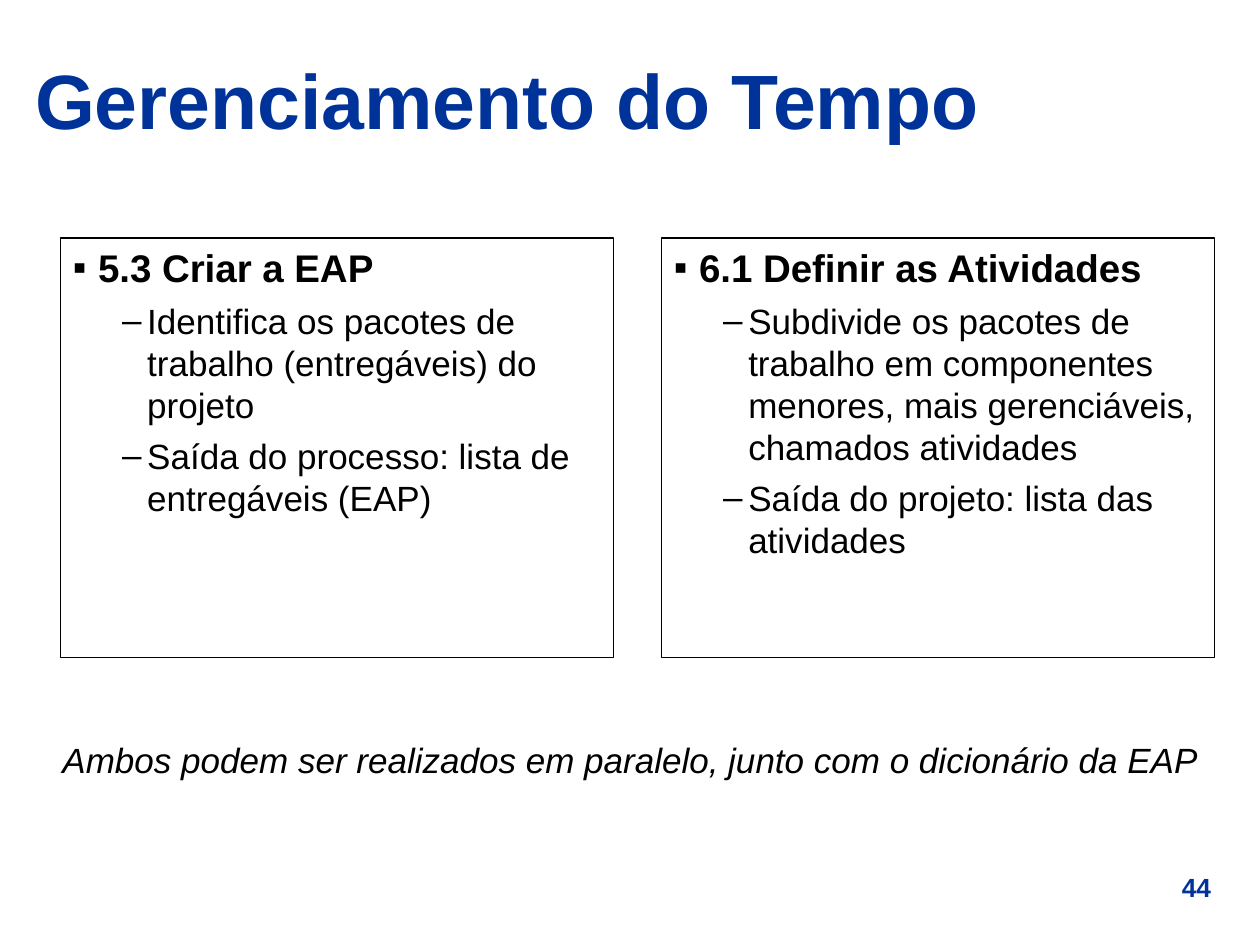
from dataclasses import dataclass

from lxml import etree
from pptx import Presentation, util as u
from pptx.dml.color import RGBColor
from pptx.enum import shapes, text
from pptx.oxml.ns import qn

W, H = 10, 7.5
BLUE, BLACK = "003399", "000000"
CENTER, MIDDLE = text.PP_ALIGN.CENTER, text.MSO_ANCHOR.MIDDLE


@dataclass
class Box:
    """Position as shares of the slide's size."""
    x: float
    y: float
    w: float
    h: float

    def emu(self) -> list:
        return [u.Inches(v) for v in (self.x * W, self.y * H, self.w * W, self.h * H)]


@dataclass
class Level:
    bullet: str
    margin: float
    before: float
    size: float
    bold: bool


@dataclass
class Process:
    title: str
    points: list[str]


HEAD = Level("▪", 0.2, 0, 22, True)
POINT = Level("–", 0.59, 5, 20, False)
HANG = 0.2

PROCESSES = [
    Process("5.3 Criar a EAP", [
        "Identifica os pacotes de trabalho (entregáveis) do projeto",
        "Saída do processo: lista de entregáveis (EAP)"]),
    Process("6.1 Definir as Atividades", [
        "Subdivide os pacotes de trabalho em componentes menores, "
        "mais gerenciáveis, chamados atividades",
        "Saída do projeto: lista das atividades"]),
]
PANEL = Box(0.048, 0.252, 0.439, 0.444)
PANEL_STEP = 0.477


def rgb(color: str) -> RGBColor:
    return RGBColor.from_string(color)


def add_run(p, words: str, color: str, **formats) -> None:
    r = p.add_run()
    r.text = words
    r.font.color.rgb = rgb(color)
    for name, value in {"name": "Arial", **formats}.items():
        setattr(r.font, name, value)


def add_label(s, box: Box, words: str, color: str, align=None, anchor=None, **formats) -> None:
    tf = s.shapes.add_textbox(*box.emu()).text_frame
    tf.word_wrap = True
    tf.vertical_anchor = anchor
    p = tf.paragraphs[0]
    p.alignment = align
    add_run(p, words, color, **formats)


def add_item(p, words: str, level: Level) -> None:
    p.alignment = text.PP_ALIGN.LEFT
    p.space_before = u.Pt(level.before)
    pPr = p._p.get_or_add_pPr()
    pPr.set("marL", str(u.Inches(level.margin)))
    pPr.set("indent", str(u.Inches(-HANG)))
    etree.SubElement(pPr, qn("a:buFont"), typeface="Arial")
    etree.SubElement(pPr, qn("a:buChar"), char=level.bullet)
    add_run(p, words, BLACK, size=u.Pt(level.size), bold=level.bold)


def add_panel(s, box: Box, process: Process) -> None:
    sp = s.shapes.add_shape(shapes.MSO_SHAPE.RECTANGLE, *box.emu())
    sp.shadow.inherit = False
    sp.fill.background()
    sp.line.color.rgb = rgb(BLACK)
    sp.line.width = u.Pt(0.75)
    tf = sp.text_frame
    tf.word_wrap = True
    tf.vertical_anchor = text.MSO_ANCHOR.TOP
    add_item(tf.paragraphs[0], process.title, HEAD)
    for point in process.points:
        add_item(tf.add_paragraph(), point, POINT)


def main() -> None:
    prs = Presentation()
    prs.slide_width, prs.slide_height = u.Inches(W), u.Inches(H)
    s = prs.slides.add_slide(prs.slide_layouts[6])

    # Page number, title and closing remark
    add_label(s, Box(0.91, 0.915, 0.079, 0.047), "44", BLUE, CENTER,
              size=u.Pt(15), bold=True)
    add_label(s, Box(0.018, 0.037, 0.962, 0.135), "Gerenciamento do Tempo", BLUE,
              anchor=MIDDLE, size=u.Pt(44), bold=True)
    add_label(s, Box(0.02, 0.775, 0.961, 0.096),
              "Ambos podem ser realizados em paralelo, junto com o dicionário da EAP",
              BLACK, CENTER, size=u.Pt(20), italic=True)

    # Two processes side by side
    for i, process in enumerate(PROCESSES):
        add_panel(s, Box(PANEL.x + i * PANEL_STEP, PANEL.y, PANEL.w, PANEL.h), process)

    prs.save("out.pptx")


if __name__ == "__main__":
    main()
